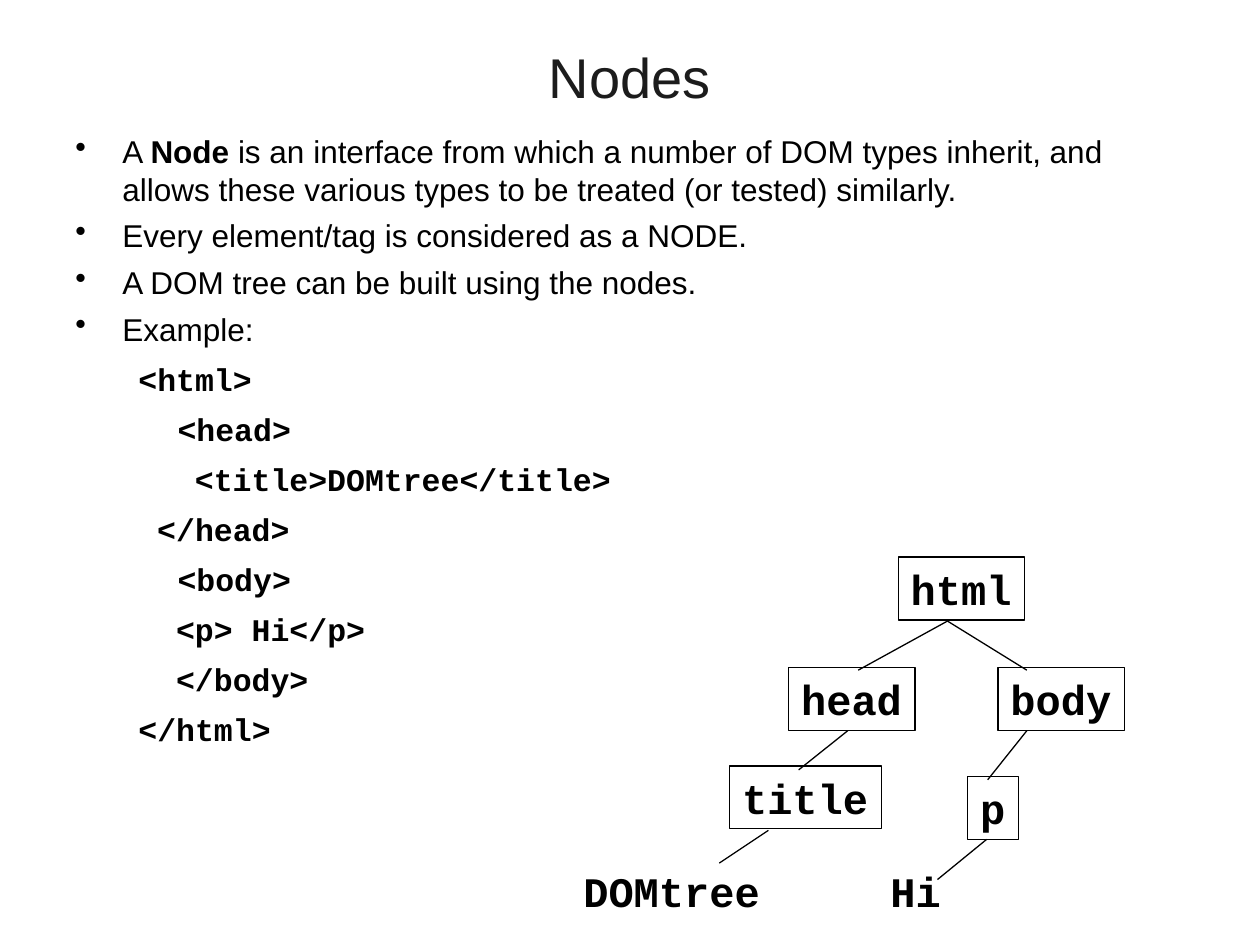
from dataclasses import dataclass

from lxml import etree
from pptx import Presentation
from pptx import util as u
from pptx.dml.color import RGBColor
from pptx.enum import shapes, text
from pptx.oxml.ns import qn

BLACK = RGBColor(0x00, 0x00, 0x00)
TITLE_GRAY = RGBColor(0x1C, 0x1C, 0x1C)
LINE_WIDTH = u.Pt(0.75)
LINE_RATIO = 1.2
CHARACTER_WIDTH = 0.51
NODE_HEIGHT = 1.27
BULLET_INDENT = 0.95

TITLE_FORMAT = {"name": "Arial", "size": u.Pt(32), "bold": False}
BULLET_FORMAT = {"name": "Arial", "size": u.Pt(18), "bold": False}
CODE_FORMAT = {"name": "Courier New", "size": u.Pt(18), "bold": True}
NODE_FORMAT = {"name": "Courier New", "size": u.Pt(24), "bold": True}


@dataclass
class Run:
    wording: str
    bold: bool = False


@dataclass
class CodeLine:
    wording: str
    indent: float


@dataclass
class Node:
    label: str
    left: float
    top: float
    boxed: bool = True


@dataclass
class Branch:
    start: tuple[float, float]
    end: tuple[float, float]


BULLETS = [
    [
        Run("A "),
        Run("Node", bold=True),
        Run(" is an interface from which a number of DOM types inherit, and "
            "allows these various types to be treated (or tested) similarly."),
    ],
    [Run("Every element/tag is considered as a NODE.")],
    [Run("A DOM tree can be built using the nodes.")],
    [Run("Example:")],
]

CODE_LINES = [
    CodeLine("<html>", 1.27),
    CodeLine("<head>", 2.06),
    CodeLine("<title>DOMtree</title>", 2.41),
    CodeLine("</head>", 1.65),
    CodeLine("<body>", 2.06),
    CodeLine("<p> Hi</p>", 2.03),
    CodeLine("</body>", 2.03),
    CodeLine("</html>", 1.27),
]

NODES = [
    Node("html", 18.11, 11.23),
    Node("head", 15.9, 13.46),
    Node("body", 20.12, 13.46),
    Node("title", 14.71, 15.44),
    Node("DOMtree", 11.51, 17.32, boxed=False),
    Node("p", 19.51, 15.65),
    Node("Hi", 17.7, 17.32, boxed=False),
]

BRANCHES = [
    Branch((19.1, 12.52), (17.3, 13.51)),
    Branch((19.1, 12.52), (20.7, 13.51)),
    Branch((17.09, 14.73), (16.1, 15.52)),
    Branch((15.49, 16.74), (14.5, 17.4)),
    Branch((20.7, 14.73), (19.91, 15.72)),
    Branch((19.89, 16.92), (18.9, 17.73)),
]


def set_attributes(target, values: dict) -> None:
    for name, value in values.items():
        setattr(target, name, value)


def add_run(paragraph, wording: str, font_format: dict, color: RGBColor = BLACK) -> None:
    run = paragraph.add_run()
    run.text = wording
    set_attributes(run.font, font_format)
    run.font.color.rgb = color
    paragraph.line_spacing = u.Pt(font_format["size"].pt * LINE_RATIO)


def add_text_box(slide, left: float, top: float, width: float, height: float):
    shape = slide.shapes.add_textbox(u.Cm(left), u.Cm(top), u.Cm(width), u.Cm(height))
    shape.text_frame.word_wrap = True
    return shape


def set_indent(paragraph, margin: float, first_line: float = 0) -> None:
    properties = paragraph._p.get_or_add_pPr()
    properties.set("marL", str(u.Cm(margin)))
    properties.set("indent", str(u.Cm(first_line)))


def add_title(slide, wording: str) -> None:
    frame = add_text_box(slide, 1.27, 0.74, 22.86, 1.6).text_frame
    frame.vertical_anchor = text.MSO_ANCHOR.MIDDLE
    paragraph = frame.paragraphs[0]
    paragraph.alignment = text.PP_ALIGN.CENTER
    add_run(paragraph, wording, TITLE_FORMAT, TITLE_GRAY)


def add_body(slide) -> None:
    frame = add_text_box(slide, 1.27, 2.54, 22.86, 14.48).text_frame
    for index, runs in enumerate(BULLETS):
        paragraph = frame.add_paragraph() if index else frame.paragraphs[0]
        paragraph.space_before = u.Pt(5)
        for run in runs:
            add_run(paragraph, run.wording, {**BULLET_FORMAT, "bold": run.bold})
        set_indent(paragraph, BULLET_INDENT, -BULLET_INDENT)
        bullet = etree.SubElement(paragraph._p.get_or_add_pPr(), qn("a:buChar"))
        bullet.set("char", "•")
    for line in CODE_LINES:
        paragraph = frame.add_paragraph()
        paragraph.space_before = u.Pt(7)
        add_run(paragraph, line.wording, CODE_FORMAT)
        set_indent(paragraph, line.indent)


def add_node(slide, node: Node) -> None:
    width = CHARACTER_WIDTH * (len(node.label) + 1)
    if node.boxed:
        shape = slide.shapes.add_shape(
            shapes.MSO_SHAPE.RECTANGLE,
            u.Cm(node.left), u.Cm(node.top), u.Cm(width), u.Cm(NODE_HEIGHT),
        )
        shape.shadow.inherit = False
        shape.fill.background()
        shape.line.color.rgb = BLACK
        shape.line.width = LINE_WIDTH
    else:
        shape = add_text_box(slide, node.left, node.top, width, NODE_HEIGHT)
    set_attributes(shape.text_frame, {
        "word_wrap": False,
        "auto_size": text.MSO_AUTO_SIZE.SHAPE_TO_FIT_TEXT,
        "vertical_anchor": text.MSO_ANCHOR.TOP,
    })
    paragraph = shape.text_frame.paragraphs[0]
    paragraph.alignment = text.PP_ALIGN.LEFT
    add_run(paragraph, node.label, NODE_FORMAT)


def add_branch(slide, branch: Branch) -> None:
    points = [u.Cm(value) for value in (*branch.start, *branch.end)]
    connector = slide.shapes.add_connector(shapes.MSO_CONNECTOR.STRAIGHT, *points)
    connector.line.color.rgb = BLACK
    connector.line.width = LINE_WIDTH
    etree.SubElement(connector._element.spPr, qn("a:effectLst"))


def main() -> None:
    presentation = Presentation()
    presentation.slide_width = u.Cm(25.4)
    presentation.slide_height = u.Cm(19.05)
    slide = presentation.slides.add_slide(presentation.slide_layouts[6])
    add_title(slide, "Nodes")
    add_body(slide)
    for node in NODES:
        add_node(slide, node)
    for branch in BRANCHES:
        add_branch(slide, branch)
    presentation.save("out.pptx")


if __name__ == "__main__":
    main()
